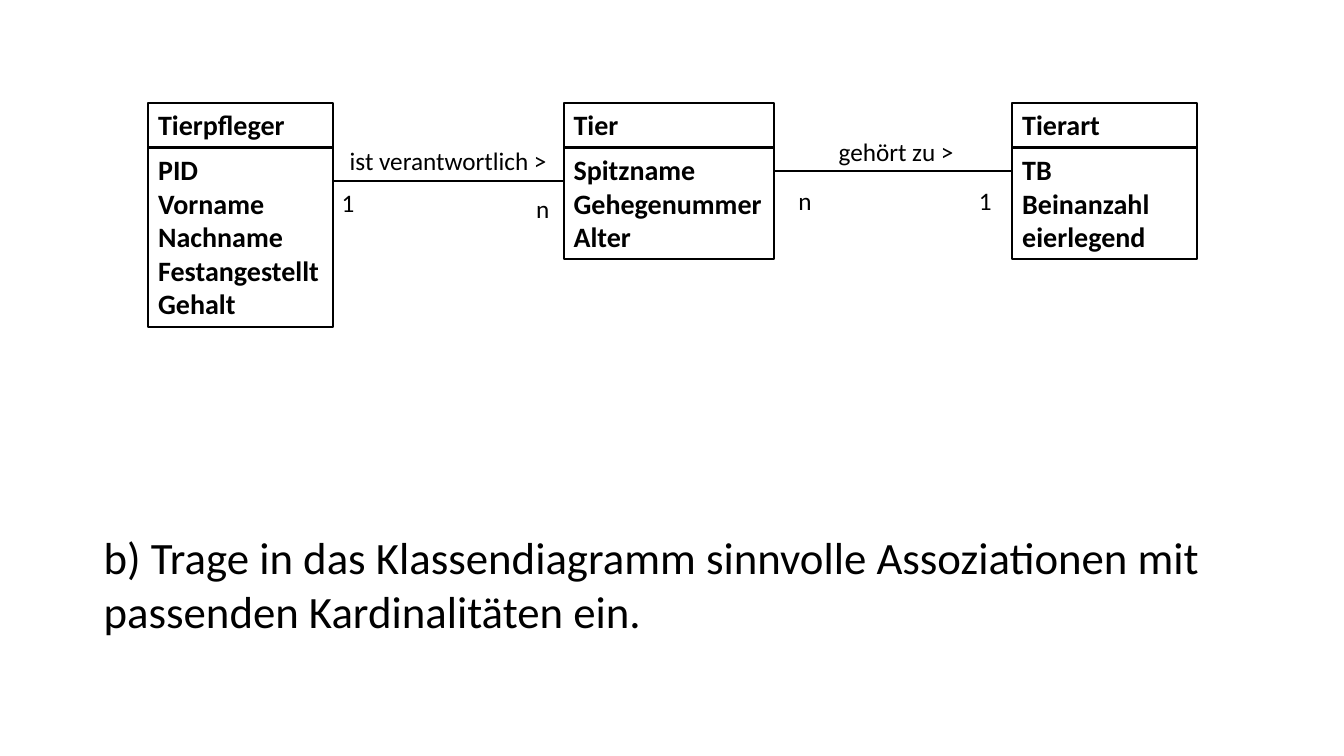
"""Build a slide with a zoo class diagram, its associations and the task below it."""
from dataclasses import dataclass

import pptx
import pptx.dml.color
import pptx.enum.shapes
import pptx.enum.text
import pptx.oxml
import pptx.oxml.ns
import pptx.presentation
import pptx.shapes.base
import pptx.slide
import pptx.util

Inches = pptx.util.Inches
Pt = pptx.util.Pt


@dataclass(frozen=True)
class Theme:
    font: str = "Calibri"
    ink: pptx.dml.color.RGBColor = pptx.dml.color.RGBColor(0, 0, 0)
    outline: pptx.util.Length = Pt(1.5)
    class_size: pptx.util.Length = Pt(20)
    label_size: pptx.util.Length = Pt(18)
    task_size: pptx.util.Length = Pt(32)


@dataclass(frozen=True)
class ClassBox:
    name: str
    attributes: tuple[str, ...]
    left: float
    width: float


@dataclass(frozen=True)
class Label:
    text: str
    left: float
    top: float
    width: float = 0.38


@dataclass(frozen=True)
class Association:
    source: ClassBox
    target: ClassBox
    top: float
    labels: tuple[Label, ...]


THEME = Theme()
CLASS_TOP = 1.02
LABEL_HEIGHT = 0.4

KEEPER = ClassBox("Tierpfleger", ("PID", "Vorname", "Nachname", "Festangestellt", "Gehalt"), 1.47, 1.83)
ANIMAL = ClassBox("Tier", ("Spitzname", "Gehegenummer", "Alter"), 5.59, 2.09)
SPECIES = ClassBox("Tierart", ("TB", "Beinanzahl", "eierlegend"), 10.04, 1.83)

ASSOCIATIONS = (
    Association(KEEPER, ANIMAL, 1.8, (
        Label("ist verantwortlich >", 3.37, 1.39, 2.36),
        Label("1", 3.29, 1.81),
        Label("n", 5.22, 1.87),
    )),
    Association(ANIMAL, SPECIES, 1.7, (
        Label("1", 9.61, 1.79),
        Label("n", 7.82, 1.79),
        Label("gehört zu >", 8.22, 1.3, 1.37),
    )),
)


def write_text(holder: pptx.shapes.base.BaseShape, text: str, *,
               size: pptx.util.Length, bold: bool = False) -> None:
    """Write left-aligned text, one paragraph per line."""
    frame = holder.text_frame
    frame.text = text
    frame.word_wrap = True
    frame.auto_size = pptx.enum.text.MSO_AUTO_SIZE.SHAPE_TO_FIT_TEXT
    frame.vertical_anchor = pptx.enum.text.MSO_ANCHOR.TOP
    for paragraph in frame.paragraphs:
        paragraph.alignment = pptx.enum.text.PP_ALIGN.LEFT
        for run in paragraph.runs:
            run.font.name = THEME.font
            run.font.size = size
            run.font.bold = bold
            run.font.color.rgb = THEME.ink


def draw_class(slide: pptx.slide.Slide, entity: ClassBox) -> None:
    """Stack the name and attribute compartments of a class."""
    top = Inches(CLASS_TOP)
    for lines in ((entity.name,), entity.attributes):
        height = Inches(0.11) + int(THEME.class_size * 1.2) * len(lines)
        compartment = slide.shapes.add_shape(
            pptx.enum.shapes.MSO_SHAPE.RECTANGLE,
            Inches(entity.left), top, Inches(entity.width), height)
        compartment.shadow.inherit = False
        compartment.fill.background()
        compartment.line.color.rgb = THEME.ink
        compartment.line.width = THEME.outline
        write_text(compartment, "\n".join(lines), size=THEME.class_size, bold=True)
        top += height


def draw_text_box(slide: pptx.slide.Slide, label: Label, height: float,
                  size: pptx.util.Length) -> None:
    """Place a label in its own text box."""
    box = slide.shapes.add_textbox(
        Inches(label.left), Inches(label.top), Inches(label.width), Inches(height))
    write_text(box, label.text, size=size)


def draw_association(slide: pptx.slide.Slide, association: Association) -> None:
    """Join two classes with a line, its name and its cardinalities."""
    source, target = association.source, association.target
    link = slide.shapes.add_connector(
        pptx.enum.shapes.MSO_CONNECTOR.STRAIGHT,
        Inches(source.left + source.width), Inches(association.top),
        Inches(target.left), Inches(association.top))
    link.line.color.rgb = THEME.ink
    link.line.width = THEME.outline
    properties = link._element.spPr
    properties.append(properties.makeelement(pptx.oxml.ns.qn("a:effectLst"), {}))
    for label in association.labels:
        draw_text_box(slide, label, LABEL_HEIGHT, THEME.label_size)


def build() -> pptx.presentation.Presentation:
    """Assemble the presentation."""
    deck = pptx.Presentation()
    deck.slide_width, deck.slide_height = Inches(13.33), Inches(7.5)
    slide = deck.slides.add_slide(deck.slide_layouts[6])
    for entity in (KEEPER, ANIMAL, SPECIES):
        draw_class(slide, entity)
    for association in ASSOCIATIONS:
        draw_association(slide, association)
    task = Label("b) Trage in das Klassendiagramm sinnvolle Assoziationen "
                 "mit passenden Kardinalitäten ein.", 0.93, 5.21, 11.41)
    draw_text_box(slide, task, 1.18, THEME.task_size)
    return deck


build().save("out.pptx")
